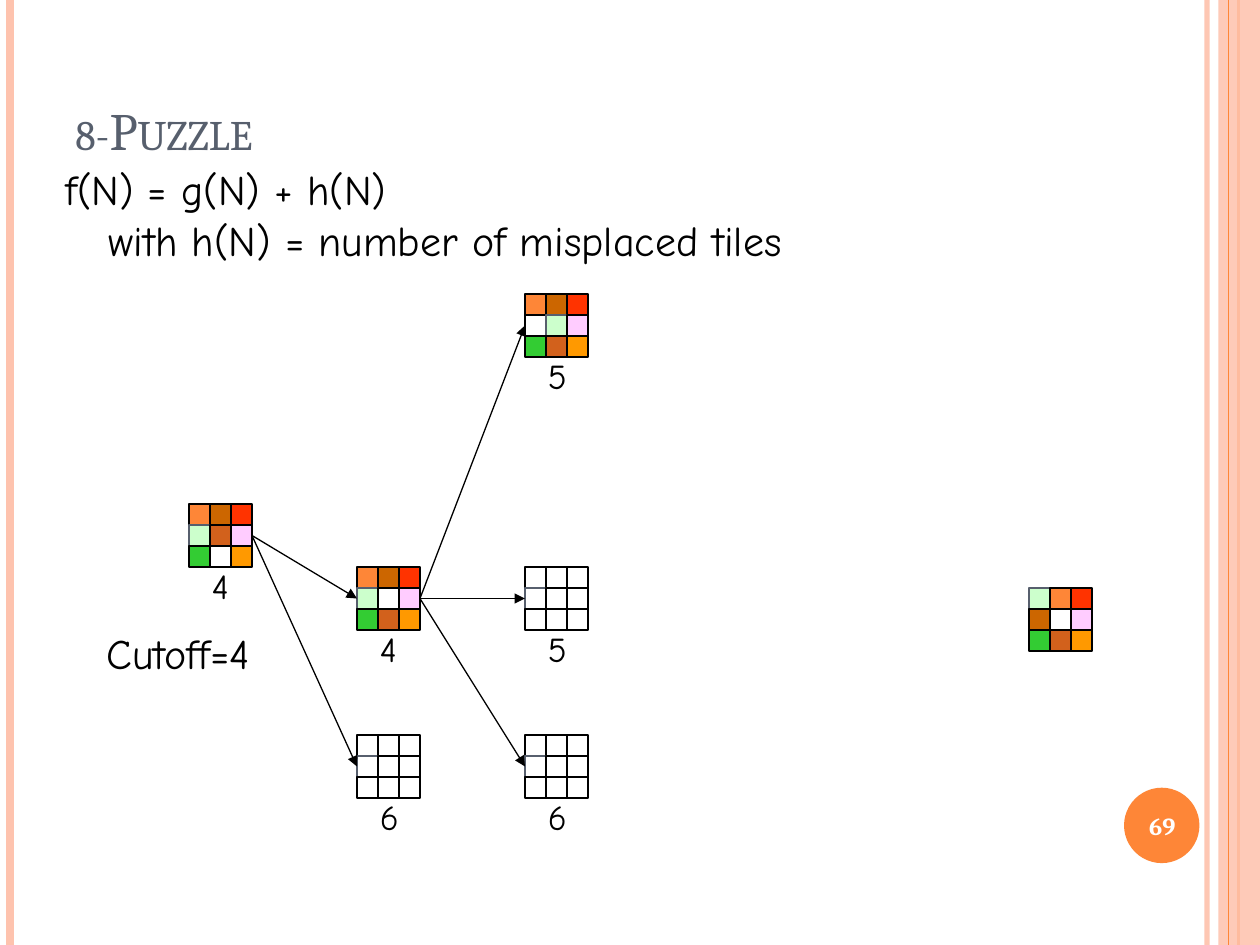
from lxml import etree
from pptx import Presentation
from pptx.dml.color import RGBColor
from pptx.enum.shapes import MSO_CONNECTOR, MSO_SHAPE
from pptx.enum.text import MSO_ANCHOR, PP_ALIGN
from pptx.oxml.ns import qn
from pptx.util import Cm, Pt

RECT, OVAL = MSO_SHAPE.RECTANGLE, MSO_SHAPE.OVAL
STRAIGHT = MSO_CONNECTOR.STRAIGHT
TOP, MIDDLE, BOTTOM = MSO_ANCHOR.TOP, MSO_ANCHOR.MIDDLE, MSO_ANCHOR.BOTTOM
LEFT, CENTER = PP_ALIGN.LEFT, PP_ALIGN.CENTER

BLACK = RGBColor(0x00, 0x00, 0x00)
WHITE = RGBColor(0xFF, 0xFF, 0xFF)
SLATE = RGBColor(0x57, 0x5F, 0x6D)
ORANGE = RGBColor(0xFE, 0x86, 0x37)
PEACH = RGBColor(0xFE, 0xC3, 0xAE)
BROWN = RGBColor(0xCC, 0x66, 0x00)
RED = RGBColor(0xFF, 0x33, 0x00)
MINT = RGBColor(0xCC, 0xFF, 0xCC)
RUST = RGBColor(0xD2, 0x61, 0x1C)
PINK = RGBColor(0xFF, 0xCC, 0xFF)
GREEN = RGBColor(0x33, 0xCC, 0x33)
AMBER = RGBColor(0xFF, 0x99, 0x00)

TILES = {"O": ORANGE, "B": BROWN, "R": RED, "M": MINT, "U": RUST, "P": PINK,
         "G": GREEN, "A": AMBER, "_": WHITE, "s": WHITE}
SLATE_EDGED = "Ms"
HIDDEN = "___s_____"
TILE = 1.27 / 3
HEIGHT = 19.05

START, CHILD, CHILD_LOW = (9, 24), (17, 27), (17, 35)
UP, ACROSS, DOWN = (25, 14), (25, 27), (25, 35)
GOAL = (49, 28)
BOARDS = [
    (START, "OBRMUPG_A", "4"),
    (GOAL, "MORB_PGUA", ""),
    (CHILD, "OBRM_PGUA", "4"),
    (CHILD_LOW, HIDDEN, "6"),
    (DOWN, HIDDEN, "6"),
    (ACROSS, HIDDEN, "5"),
    (UP, "OBR_MPGUA", "5"),
]
MOVES = [(START, CHILD), (START, CHILD_LOW),
         (CHILD, DOWN), (CHILD, ACROSS), (CHILD, UP)]
RULES = [(24.33, PEACH, 3, 93), (0.2, PEACH, 4.5, 100),
         (24.97, ORANGE, 1.5, 100)]


class Deck:
    body, heading = "Comic Neue", "Cambria"

    def __init__(self, s):
        self.s = s

    def fade(self, shape, alpha):
        color = next(shape._element.spPr.iter(qn("a:srgbClr")))
        etree.SubElement(color, qn("a:alpha")).set("val", str(alpha * 1000))

    def line(self, x1, y1, x2, y2, color=BLACK, width=0.75, alpha=100, arrow=False):
        c = self.s.shapes.add_connector(STRAIGHT, Cm(x1), Cm(y1), Cm(x2), Cm(y2))
        c.line.color.rgb = color
        c.line.width = Pt(width)
        if alpha < 100:
            self.fade(c, alpha)
        if arrow:
            ln = c.line._get_or_add_ln()
            etree.SubElement(ln, qn("a:tailEnd")).set("type", "triangle")
        etree.SubElement(c._element.spPr, qn("a:effectLst"))

    def shape(self, kind, x, y, w, h, fill, edge=None, parent=None):
        shapes = (parent or self.s).shapes
        sp = shapes.add_shape(kind, Cm(x), Cm(y), Cm(w), Cm(h))
        sp.shadow.inherit = False
        sp.fill.solid()
        sp.fill.fore_color.rgb = fill
        if edge is None:
            sp.line.fill.background()
        else:
            sp.line.color.rgb = edge
            sp.line.width = Pt(0.75)
        return sp

    def text(self, x, y, w, h, text, size, font=body, color=BLACK,
             anchor=TOP, align=LEFT, wrap=False, bold=False):
        tf = self.s.shapes.add_textbox(Cm(x), Cm(y), Cm(w), Cm(h)).text_frame
        tf.word_wrap = wrap
        tf.vertical_anchor = anchor
        tf.text = text
        for p in tf.paragraphs:
            p.alignment = align
            for r in p.runs:
                r.font.name = font
                r.font.size = Pt(size)
                r.font.bold = bold
                r.font.color.rgb = color
        return tf

    def board(self, cell, tiles, cost):
        col, row = cell
        group = self.s.shapes.add_group_shape()
        for i, tile in enumerate(tiles):
            edge = SLATE if tile in SLATE_EDGED else BLACK
            self.shape(RECT, (col + i % 3) * TILE, (row + i // 3) * TILE,
                       TILE, TILE, TILES[tile], edge, group)
        if cost:
            self.text((col + 0.5) * TILE, (row + 2.57) * TILE, 0.94, 1.09, cost, 20)

    def move(self, parent, child):
        self.line((parent[0] + 3) * TILE, (parent[1] + 1.5) * TILE,
                  child[0] * TILE, (child[1] + 1.5) * TILE, arrow=True)


def main():
    prs = Presentation()
    prs.slide_width, prs.slide_height = Cm(25.4), Cm(HEIGHT)
    deck = Deck(prs.slides.add_slide(prs.slide_layouts[6]))

    for x, color, width, alpha in RULES:
        deck.line(x, 0, x, HEIGHT, color, width, alpha)
    band = deck.shape(RECT, 24.56, 0, 0.84, HEIGHT, PEACH)
    deck.fade(band, 87)
    deck.line(24.77, 0, 24.77, HEIGHT, ORANGE)
    deck.shape(OVAL, 22.66, 15.88, 1.52, 1.52, ORANGE)

    title = deck.text(1.27, 0.2, 20.75, 3.18, "8-Puzzle", 30, deck.heading,
                      SLATE, BOTTOM, wrap=True)
    title.paragraphs[0].runs[0].font._element.set("cap", "small")
    deck.text(22.58, 15.93, 1.7, 1.45, "69", 14, deck.heading, WHITE,
              MIDDLE, CENTER, True, True)

    for cell, tiles, cost in BOARDS:
        deck.board(cell, tiles, cost)
    for parent, child in MOVES:
        deck.move(parent, child)

    deck.text(1.9, 12.52, 4.11, 1.27, "Cutoff=4", 24)
    formula = deck.text(1.07, 3.18, 16.05, 2.29,
                        "f(N) = g(N) + h(N)\nwith h(N) = number of misplaced tiles", 24)
    formula.paragraphs[1]._p.get_or_add_pPr().set("marL", str(Cm(0.87)))
    prs.save("out.pptx")


if __name__ == "__main__":
    main()
